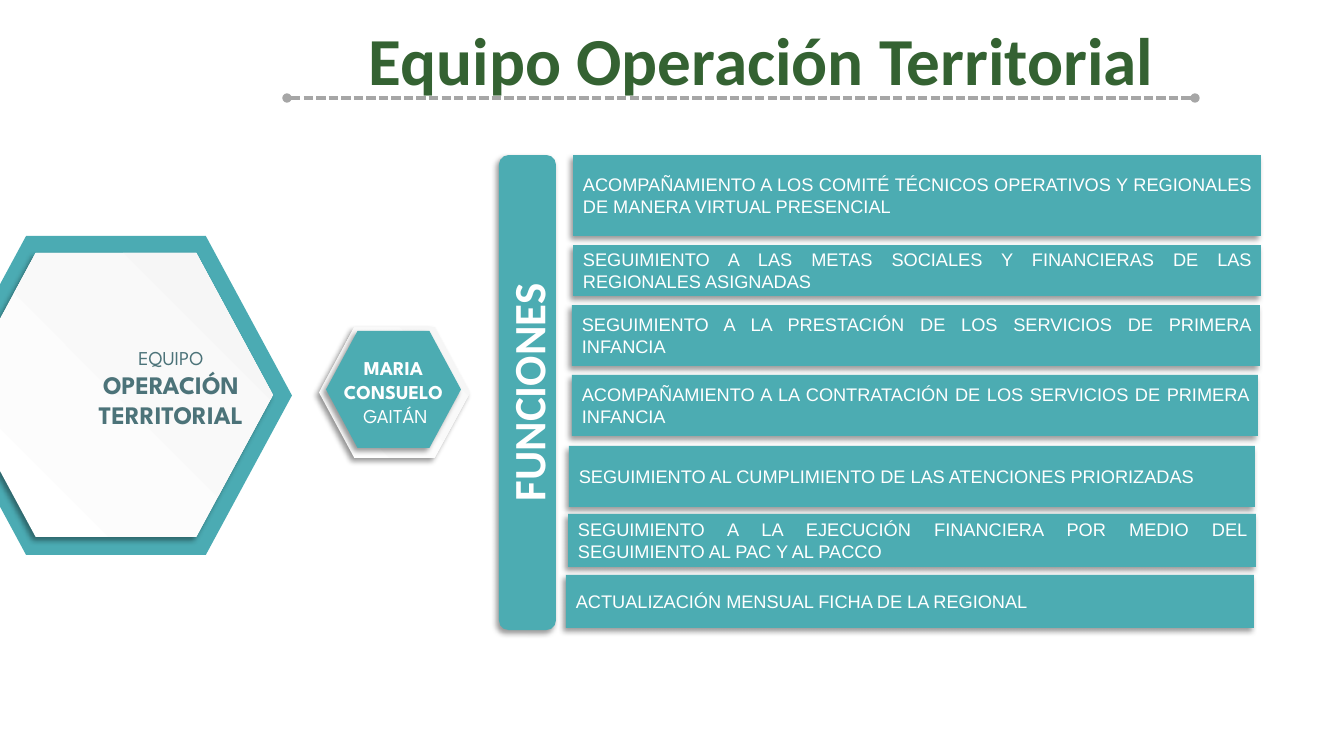
"""Build the slide that presents the territorial operation team and its functions."""
from dataclasses import dataclass

from lxml import etree
from pptx import Presentation
from pptx.dml.color import RGBColor
from pptx.enum.dml import MSO_LINE
from pptx.enum.shapes import MSO_CONNECTOR, MSO_SHAPE
from pptx.enum.text import MSO_ANCHOR, MSO_AUTO_SIZE, PP_ALIGN
from pptx.oxml import parse_xml
from pptx.oxml.ns import nsdecls, qn
from pptx.util import Emu, Pt

TITLE = "Equipo Operación Territorial"
TITLE_BOX = (355, 13, 813, 92)
RULE = (287, 98, 1195, 98)
FUNCTIONS_LABEL = "FUNCIONES"
FUNCTIONS_BOX = (290, 364, 475, 57)
FUNCTIONS = [
    ("ACOMPAÑAMIENTO A LOS COMITÉ TÉCNICOS OPERATIVOS Y REGIONALES DE MANERA VIRTUAL PRESENCIAL",
     (573, 155, 688, 81)),
    ("SEGUIMIENTO A LAS METAS SOCIALES Y FINANCIERAS DE LAS REGIONALES ASIGNADAS",
     (573, 245, 688, 51)),
    ("SEGUIMIENTO A LA PRESTACIÓN DE LOS SERVICIOS DE PRIMERA INFANCIA",
     (572, 305, 688, 61)),
    ("ACOMPAÑAMIENTO A LA CONTRATACIÓN DE LOS SERVICIOS DE PRIMERA INFANCIA",
     (572, 375, 686, 61)),
    ("SEGUIMIENTO AL CUMPLIMIENTO DE LAS ATENCIONES PRIORIZADAS",
     (569, 446, 686, 61)),
    ("SEGUIMIENTO A LA EJECUCIÓN FINANCIERA POR MEDIO DEL SEGUIMIENTO AL PAC Y AL PACCO",
     (568, 514, 688, 53)),
    ("ACTUALIZACIÓN MENSUAL FICHA DE LA REGIONAL",
     (566, 575, 688, 53)),
]


@dataclass(frozen=True)
class Theme:
    """Colours, fonts and type sizes of the slide."""
    green: str = "346232"
    teal: str = "4CACB2"
    frame_teal: str = "4BABB3"
    slate: str = "4C7379"
    grey: str = "A6A6A6"
    pale: str = "F6F6F6"
    white: str = "FFFFFF"
    heading_font: str = "Calibri"
    label_font: str = "League Spartan"
    body_font: str = "Arial"
    title_size: int = 48
    functions_size: int = 32
    team_size: int = 18
    label_size: int = 14
    body_size: int = 13


THEME = Theme()
HEXAGONS = [
    ((319, 327, 151, 131), None, True),
    ((326, 331, 135, 117), THEME.teal, True),
    ((-60, 236, 352, 319), THEME.frame_teal, False),
    ((-41, 253, 314, 284), None, True),
]
LABELS = [
    ((312, 351, 163, 57), THEME.white, [("MARIA CONSUELO", THEME.label_size, True)]),
    ((314, 399, 163, 34), THEME.white, [("GAITÁN", THEME.label_size, False)]),
    ((45, 341, 252, 95), THEME.slate, [("EQUIPO", THEME.label_size, False),
                                       ("OPERACIÓN TERRITORIAL", THEME.team_size, True)]),
]
SLIDE_SIZE = (1344, 756)
EMU_PER_PX = 12192000 / SLIDE_SIZE[0]


def px(*lengths):
    return [Emu(round(length * EMU_PER_PX)) for length in lengths]


def style_paragraph(paragraph, text, font_name, size, color, bold=False, align=PP_ALIGN.CENTER):
    paragraph.text = text
    paragraph.alignment = align
    font = paragraph.font
    font.name, font.size, font.bold = font_name, Pt(size), bold
    font.color.rgb = RGBColor.from_string(color)


def fill_pale_gradient(shape):
    gradient = parse_xml(
        f'<a:gradFill {nsdecls("a")} rotWithShape="1"><a:gsLst>'
        f'<a:gs pos="0"><a:srgbClr val="{THEME.pale}"/></a:gs>'
        f'<a:gs pos="100000"><a:srgbClr val="{THEME.white}"/></a:gs></a:gsLst>'
        '<a:path path="circle"><a:fillToRect l="100000" b="100000"/></a:path>'
        '<a:tileRect t="-100000" r="-100000"/></a:gradFill>')
    shape.element.spPr.find(qn("a:prstGeom")).addnext(gradient)


def add_panel(slide, kind, box, color, shadow=True):
    shape = slide.shapes.add_shape(kind, *px(*box))
    if color:
        shape.fill.solid()
        shape.fill.fore_color.rgb = RGBColor.from_string(color)
    else:
        fill_pale_gradient(shape)
    shape.line.fill.background()
    shape.shadow.inherit = False
    if shadow:
        shape.element.spPr.find(qn("a:effectLst")).append(parse_xml(
            f'<a:outerShdw {nsdecls("a")} blurRad="{Pt(4)}" dist="{Pt(3)}" dir="8100000" '
            'algn="tr" rotWithShape="0"><a:srgbClr val="000000"><a:alpha val="40000"/>'
            '</a:srgbClr></a:outerShdw>'))
    shape.text_frame.word_wrap = True
    shape.text_frame.vertical_anchor = MSO_ANCHOR.MIDDLE
    return shape


def add_title(slide):
    title = slide.shapes.title
    title.left, title.top, title.width, title.height = px(*TITLE_BOX)
    frame = title.text_frame
    frame.word_wrap = False
    frame.auto_size = MSO_AUTO_SIZE.SHAPE_TO_FIT_TEXT
    frame.vertical_anchor = MSO_ANCHOR.TOP
    style_paragraph(frame.paragraphs[0], TITLE, THEME.heading_font, THEME.title_size,
                    THEME.green, bold=True)


def add_rule(slide):
    rule = slide.shapes.add_connector(MSO_CONNECTOR.STRAIGHT, *px(*RULE))
    rule.line.color.rgb = RGBColor.from_string(THEME.grey)
    rule.line.width = Pt(2.25)
    rule.line.dash_style = MSO_LINE.SQUARE_DOT
    line = rule.line._get_or_add_ln()
    line.find(qn("a:prstDash")).set("val", "sysDash")
    for end in ("a:headEnd", "a:tailEnd"):
        etree.SubElement(line, qn(end), type="oval")
    etree.SubElement(rule.element.spPr, qn("a:effectLst"))
    slide.shapes.title.element.addprevious(rule.element)


def add_label(slide, box, color, lines):
    frame = slide.shapes.add_textbox(*px(*box)).text_frame
    frame.word_wrap = True
    frame.auto_size = MSO_AUTO_SIZE.SHAPE_TO_FIT_TEXT
    for index, (text, size, bold) in enumerate(lines):
        paragraph = frame.add_paragraph() if index else frame.paragraphs[0]
        style_paragraph(paragraph, text, THEME.label_font, size, color, bold)


def add_functions(slide):
    label = add_panel(slide, MSO_SHAPE.ROUNDED_RECTANGLE, FUNCTIONS_BOX, THEME.teal)
    label.rotation = 270
    style_paragraph(label.text_frame.paragraphs[0], FUNCTIONS_LABEL, THEME.heading_font,
                    THEME.functions_size, THEME.white, bold=True)
    for text, box in FUNCTIONS:
        bar = add_panel(slide, MSO_SHAPE.RECTANGLE, box, THEME.teal)
        style_paragraph(bar.text_frame.paragraphs[0], text, THEME.body_font,
                        THEME.body_size, THEME.white, align=PP_ALIGN.JUSTIFY)


def main():
    presentation = Presentation()
    presentation.slide_width, presentation.slide_height = px(*SLIDE_SIZE)
    slide = presentation.slides.add_slide(presentation.slide_layouts[5])
    add_title(slide)
    add_rule(slide)
    for box, color, shadow in HEXAGONS:
        hexagon = add_panel(slide, MSO_SHAPE.HEXAGON, box, color, shadow)
        hexagon.adjustments[0] = 0.27
    for box, color, lines in LABELS:
        add_label(slide, box, color, lines)
    add_functions(slide)
    presentation.save("out.pptx")


if __name__ == "__main__":
    main()
